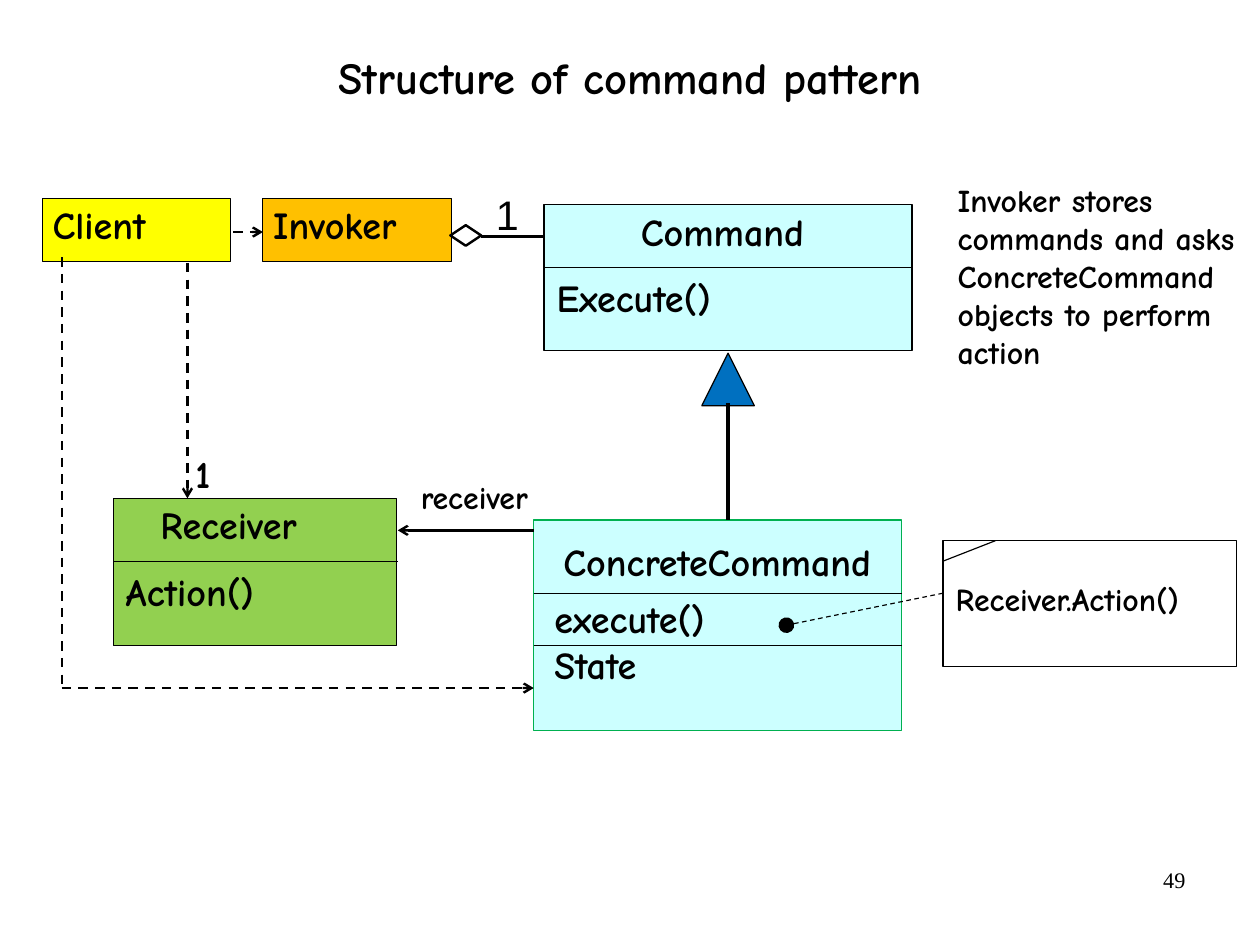
"""Build a slide with the class diagram of the command pattern."""
import pptx
import pptx.util
import pptx.dml.color
import pptx.enum.dml
import pptx.enum.shapes
import pptx.enum.text
import pptx.oxml.ns
from lxml import etree

Inches = pptx.util.Inches
SHAPES = pptx.enum.shapes.MSO_SHAPE
ALIGN = pptx.enum.text.PP_ALIGN
ANCHOR = pptx.enum.text.MSO_ANCHOR
CM_PER_INCH = 2.54
COLOURS = {
    "ink": "000000", "class": "CCFFFF", "edge": "00B050", "receiver": "92D050",
    "inherit": "0070C0", "invoker": "FFC000", "client": "FFFF00",
}


def colour(name):
    return pptx.dml.color.RGBColor.from_string(COLOURS[name])


def add_block(page, left, top, width, height, fill=None, kind=SHAPES.RECTANGLE,
              edge="ink", weight=0.75):
    block = page.shapes.add_shape(
        kind, Inches(left), Inches(top), Inches(width), Inches(height))
    block.shadow.inherit = False
    if fill:
        block.fill.solid()
        block.fill.fore_color.rgb = colour(fill)
    else:
        block.fill.background()
    block.line.color.rgb = colour(edge)
    block.line.width = pptx.util.Pt(weight)


def add_line(page, start, end, weight=0.75, dashed=False, tail=None, tail_size="med"):
    line = page.shapes.add_connector(
        pptx.enum.shapes.MSO_CONNECTOR.STRAIGHT,
        *(Inches(value) for value in start + end))
    line.line.color.rgb = colour("ink")
    line.line.width = pptx.util.Pt(weight)
    if dashed:
        line.line.dash_style = pptx.enum.dml.MSO_LINE.DASH
    qn = pptx.oxml.ns.qn
    properties = line._element.spPr
    if tail:
        etree.SubElement(properties.find(qn("a:ln")), qn("a:tailEnd"),
                         type=tail, w=tail_size, len=tail_size)
    etree.SubElement(properties, qn("a:effectLst"))


def add_text(page, left, top, width, height, *lines, size=24, font="Comic Neue",
             bold=True, align=ALIGN.LEFT, anchor=ANCHOR.TOP, wrap=False, grow=True,
             insets=(0.11, 0.06), spacing=None):
    box = page.shapes.add_textbox(
        Inches(left), Inches(top), Inches(width), Inches(height))
    frame = box.text_frame
    frame.word_wrap = wrap
    frame.vertical_anchor = anchor
    sizing = pptx.enum.text.MSO_AUTO_SIZE
    frame.auto_size = sizing.SHAPE_TO_FIT_TEXT if grow else sizing.NONE
    frame.margin_left = frame.margin_right = Inches(insets[0])
    frame.margin_top = frame.margin_bottom = Inches(insets[1])
    frame.text = "\n".join(lines)
    for para in frame.paragraphs:
        para.alignment = align
        para.line_spacing = spacing
        para.font.size = pptx.util.Pt(size)
        para.font.name = font
        para.font.bold = bold
        para.font.color.rgb = colour("ink")


def add_heading(page, left, top, width, height, text, **style):
    add_text(page, left, top, width, height, text,
             align=ALIGN.CENTER, anchor=ANCHOR.MIDDLE, grow=False, **style)


def add_command(page):
    add_block(page, 4.76, 1.79, 3.22, 1.28, "class")
    add_heading(page, 5.31, 1.79, 2.02, 0.46, "Command")
    add_line(page, (4.76, 2.34), (7.98, 2.34))
    add_text(page, 4.76, 2.34, 1.76, 0.52, "Execute()")


def add_concrete_command(page):
    add_block(page, 4.67, 4.55, 3.22, 1.84, "class", edge="edge")
    add_heading(page, 5.31, 4.55, 1.93, 0.73, "ConcreteCommand")
    for divider in (5.19, 5.65):
        add_line(page, (4.67, divider), (7.89, divider))
    add_text(page, 4.74, 5.15, 1.74, 0.92, "execute()", "State")
    add_block(page, 6.14, 3.09, 0.46, 0.46, "inherit", SHAPES.ISOSCELES_TRIANGLE)
    add_line(page, (6.37, 3.53), (6.37, 4.55), 2.25)


def add_receiver(page):
    add_block(page, 0.99, 4.36, 2.48, 1.29, "receiver")
    add_heading(page, 0.99, 4.36, 2.02, 0.46, "Receiver")
    add_line(page, (0.99, 4.91), (3.48, 4.91))
    add_text(page, 0.99, 4.91, 1.49, 0.52, "Action()")
    add_line(page, (4.67, 4.64), (3.48, 4.64), 1.5, tail="arrow")
    add_heading(page, 3.14, 4.12, 2.02, 0.46, "receiver", size=20)


def add_callers(page):
    for left, width, name in ((2.3, 1.45, "Invoker"), (0.37, 1.14, "Client")):
        add_block(page, left, 1.74, 1.65, 0.55, name.lower())
        add_text(page, left - 0.02, 1.7, width, 0.52, name)
    add_line(page, (4.76, 2.07), (4.21, 2.07), 2.25)
    add_block(page, 3.94, 1.97, 0.27, 0.18, kind=SHAPES.DIAMOND, weight=1.5)
    add_text(page, 4.23, 1.6, 0.43, 0.55, "1", size=26, font="Arial", bold=False)
    add_line(page, (0.54, 2.25), (0.54, 6.02), 1.5, dashed=True)
    for start, end in (((0.54, 6.02), (4.67, 6.02)),
                       ((1.64, 2.3), (1.64, 4.36)),
                       ((2.04, 2.03), (2.3, 2.03))):
        add_line(page, start, end, 1.5, dashed=True, tail="arrow")
    add_text(page, 1.6, 3.88, 0.43, 0.51, "1")


def add_note(page):
    add_block(page, 8.25, 4.73, 2.57, 1.1)
    add_line(page, (8.71, 4.73), (8.25, 4.91))
    add_text(page, 8.25, 5.01, 2.55, 0.45, "Receiver.Action()", size=20)
    add_line(page, (8.25, 5.19), (6.88, 5.47), dashed=True, tail="oval", tail_size="lg")


def main():
    deck = pptx.Presentation()
    deck.slide_width = Inches(28 / CM_PER_INCH)
    deck.slide_height = Inches(21 / CM_PER_INCH)
    page = deck.slides.add_slide(deck.slide_layouts[6])
    add_heading(page, 0.81, 0.02, 9.4, 1.37, "Structure of command pattern",
                size=28, wrap=True, insets=(0, 0), spacing=0.88)
    add_command(page)
    add_concrete_command(page)
    add_receiver(page)
    add_callers(page)
    add_note(page)
    add_text(page, 8.28, 1.53, 2.76, 2.12,
             "Invoker stores commands and asks ConcreteCommand objects to perform action",
             size=20, wrap=True, insets=(0.1, 0.05))
    add_text(page, 7.9, 7.53, 2.57, 0.57, "49", size=14, font="Times New Roman",
             bold=False, align=ALIGN.RIGHT, wrap=True, grow=False, insets=(0.1, 0.05))
    deck.save("out.pptx")


if __name__ == "__main__":
    main()
